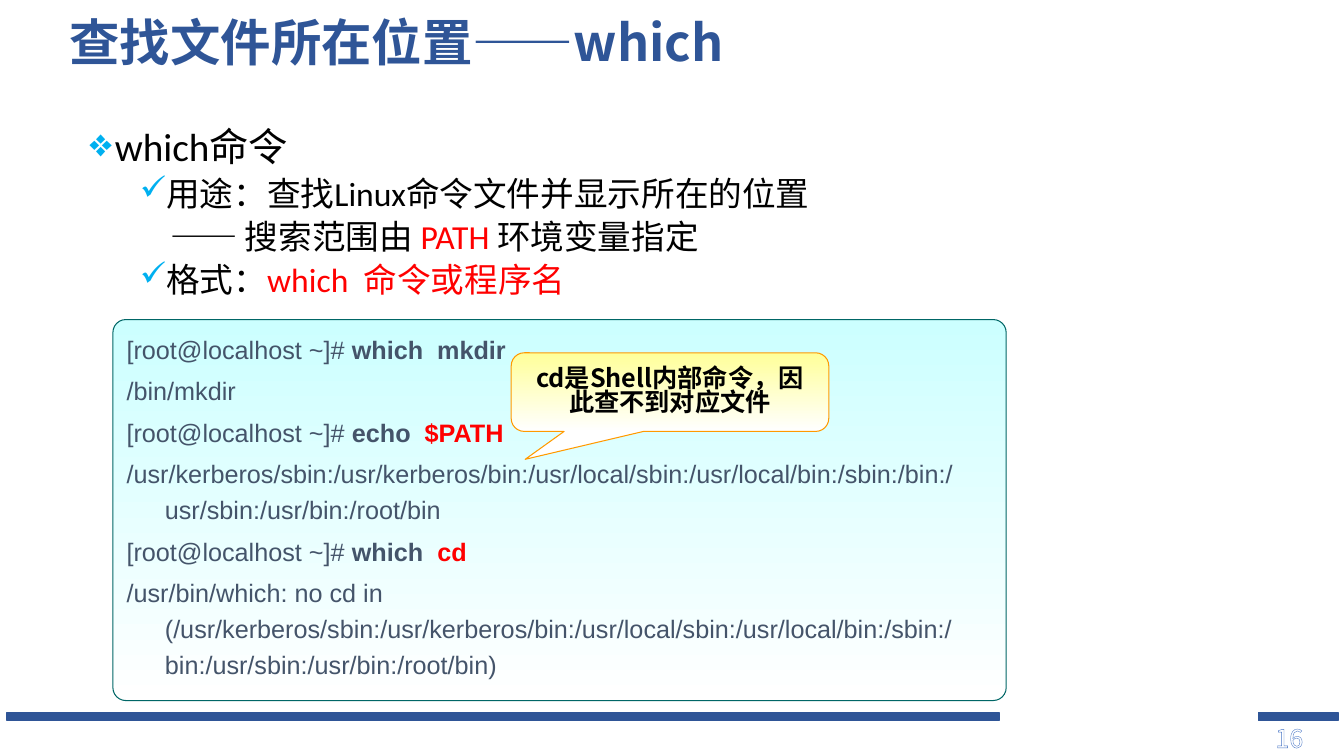
from lxml import etree
from pptx import Presentation
from pptx.dml.color import RGBColor
from pptx.enum.shapes import MSO_SHAPE
from pptx.enum.text import MSO_ANCHOR, PP_ALIGN
from pptx.oxml import parse_xml
from pptx.oxml.ns import nsdecls, qn
from pptx.util import Pt

PX = 9144
CJK = "Noto Sans CJK SC"
COLORS = {
    "navy": "2F5597", "black": "000000", "red": "FF0000", "slate": "44546A",
    "sky": "00B0F0", "teal": "006666", "aqua": "CCFFFF", "white": "FFFFFF",
    "orange": "FF9900", "yellow": "FFFF99", "blue": "4472C4", "pale": "8FAADC",
}
BINS = "/usr/kerberos/sbin:/usr/kerberos/bin:/usr/local/sbin:/usr/local/bin:/sbin:/bin:/usr/sbin:/usr/bin:/root/bin"
PROMPT = "[root@localhost ~]# "


def rgb(name):
    """Return the named colour."""
    return RGBColor.from_string(COLORS[name])


def add_text(tf, runs, size, font="Calibri", color="black", first=False, align=PP_ALIGN.LEFT,
             spacing=0.9, before=0, margin=0, indent=0, bullet=None, level=0):
    """Write one paragraph of (text, colour, bold) runs and return it."""
    p = tf.paragraphs[0] if first else tf.add_paragraph()
    p.level = level
    pPr = p._p.get_or_add_pPr()
    pPr.set("marL", str(margin * PX))
    pPr.set("indent", str(indent * PX))
    if bullet:
        clr = etree.SubElement(pPr, qn("a:buClr"))
        etree.SubElement(clr, qn("a:srgbClr"), val=COLORS["sky"])
        etree.SubElement(pPr, qn("a:buChar"), char=bullet)
    else:
        etree.SubElement(pPr, qn("a:buNone"))
    p.alignment = align
    p.line_spacing = spacing
    p.space_before = Pt(0 if first else before)
    for text, run_color, bold in runs:
        r = p.add_run()
        r.text = text
        r.font.size = Pt(size)
        r.font.name = font
        r.font.bold = bold
        r.font.color.rgb = rgb(run_color or color)
        r._r.rPr.find(qn("a:latin")).addnext(
            parse_xml(f'<a:ea {nsdecls("a")} typeface="{CJK}"/>'))
    return p


def add_box(s, box, anchor=MSO_ANCHOR.TOP):
    """Add a wrapping text box and return its text frame."""
    tf = s.shapes.add_textbox(*(v * PX for v in box)).text_frame
    tf.word_wrap = True
    tf.vertical_anchor = anchor
    return tf


def add_panel(s, kind, box, fill, line, width, anchor=MSO_ANCHOR.TOP):
    """Add a shape with a plain fill, or a downward gradient for two colours."""
    sp = s.shapes.add_shape(kind, *(v * PX for v in box))
    sp.shadow.inherit = False
    if len(fill) == 1:
        sp.fill.solid()
        sp.fill.fore_color.rgb = rgb(fill[0])
    else:
        sp.fill.gradient()
        sp.fill.gradient_angle = 270
        for stop, name in zip(sp.fill.gradient_stops, fill):
            stop.color.rgb = rgb(name)
    sp.line.color.rgb = rgb(line)
    sp.line.width = Pt(width)
    sp.text_frame.word_wrap = True
    sp.text_frame.vertical_anchor = anchor
    return sp


def add_footer(s, x, y, w, h):
    """Draw the two footer bars and the outlined page number."""
    number_w = 79
    for left, width in ((x, 984), (x + w - number_w, number_w)):
        add_panel(s, MSO_SHAPE.RECTANGLE, (left, y, width, 8), ["navy"], "navy", 1)
    tf = add_box(s, (x + w - 72, y + 5, 72, h - 5))
    p = add_text(tf, [("16", "pale", False)], 18, font=CJK, first=True, spacing=1)
    rPr = p.runs[0]._r.rPr
    outline = parse_xml(
        f'<a:ln {nsdecls("a")} w="12700"><a:solidFill><a:srgbClr val="{COLORS["blue"]}"/>'
        '</a:solidFill></a:ln>')
    pattern = parse_xml(
        f'<a:pattFill {nsdecls("a")} prst="ltDnDiag"><a:fgClr><a:srgbClr val="{COLORS["pale"]}"/>'
        f'</a:fgClr><a:bgClr><a:srgbClr val="{COLORS["white"]}"/></a:bgClr></a:pattFill>')
    rPr.replace(rPr.find(qn("a:solidFill")), pattern)
    rPr.insert(0, outline)


def add_title(s, *box):
    """Write the slide title."""
    tf = add_box(s, box, MSO_ANCHOR.MIDDLE)
    add_text(tf, [("查找文件所在位置——which", "navy", True)], 36, font=CJK, first=True)


def add_usage(s, *box):
    """Write the bulleted description of the command."""
    tf = add_box(s, box)
    add_text(tf, [("which命令", None, False)], 28, first=True, margin=25, indent=-25, bullet="❖")
    sub = dict(size=24, before=4.8, level=1)
    item = dict(sub, margin=75, indent=-25, bullet="✓")
    add_text(tf, [("用途：查找Linux命令文件并显示所在的位置", None, False)], **item)
    add_text(tf, [("—— 搜索范围由 ", None, False), ("PATH ", "red", False),
                  ("环境变量指定", None, False)], margin=80, **sub)
    add_text(tf, [("格式：", None, False), ("which  命令或程序名", "red", False)], **item)


def add_terminal(s, x, y, w, h):
    """Draw the terminal panel with its session and the callout over it."""
    sp = add_panel(s, MSO_SHAPE.ROUNDED_RECTANGLE, (x, y, w, h), ["aqua", "white"], "teal", 0.75)
    sp.adjustments[0] = 0.034
    session = [
        [(PROMPT, None, False), ("which  mkdir", None, True)],
        [("/bin/mkdir", None, False)],
        [(PROMPT, None, False), ("echo  ", None, True), ("$PATH", "red", True)],
        [(BINS, None, False)],
        [(PROMPT, None, False), ("which  ", None, True), ("cd", "red", True)],
        [(f"/usr/bin/which: no cd in ({BINS})", None, False)],
    ]
    for i, runs in enumerate(session):
        add_text(sp.text_frame, runs, 18, font="Arial", color="slate", first=i == 0,
                 spacing=1.2, before=3.6, margin=38, indent=-38)
    note = add_panel(s, MSO_SHAPE.ROUNDED_RECTANGULAR_CALLOUT, (x + 395, y + 33, 315, 78),
                     ["yellow", "white"], "orange", 0.75, MSO_ANCHOR.MIDDLE)
    for i, value in enumerate((-0.456, 0.855, 0.167)):
        note.adjustments[i] = value
    add_text(note.text_frame, [("cd是Shell内部命令，因此查不到对应文件", None, True)], 18,
             font=CJK, first=True, align=PP_ALIGN.CENTER, spacing=0.8)


def main():
    """Build the slide and save it."""
    prs = Presentation()
    prs.slide_width, prs.slide_height = 1333 * PX, 750 * PX
    s = prs.slides.add_slide(prs.slide_layouts[6])
    add_footer(s, 7, 707, 1320, 45)
    add_usage(s, 79, 122, 930, 562)
    add_title(s, 59, 10, 958, 70)
    add_terminal(s, 112, 317, 886, 378)
    prs.save("out.pptx")


if __name__ == "__main__":
    main()
